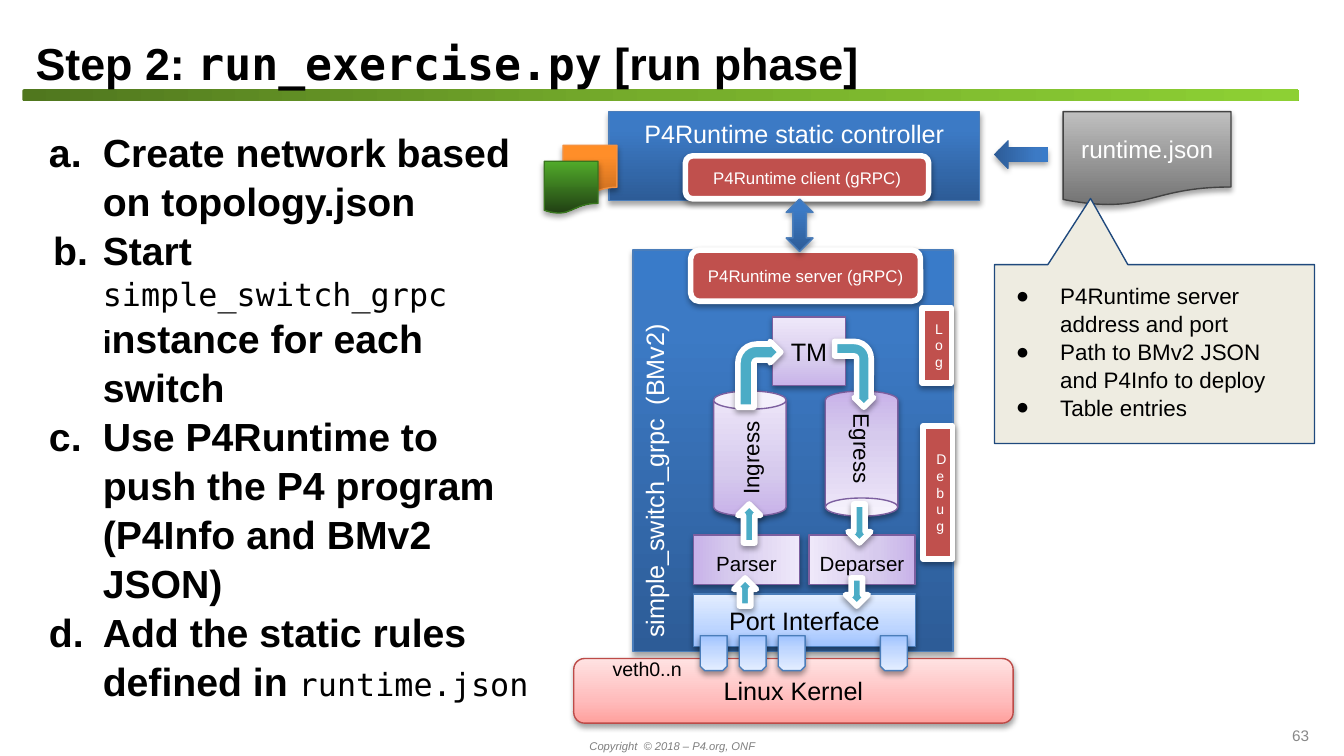
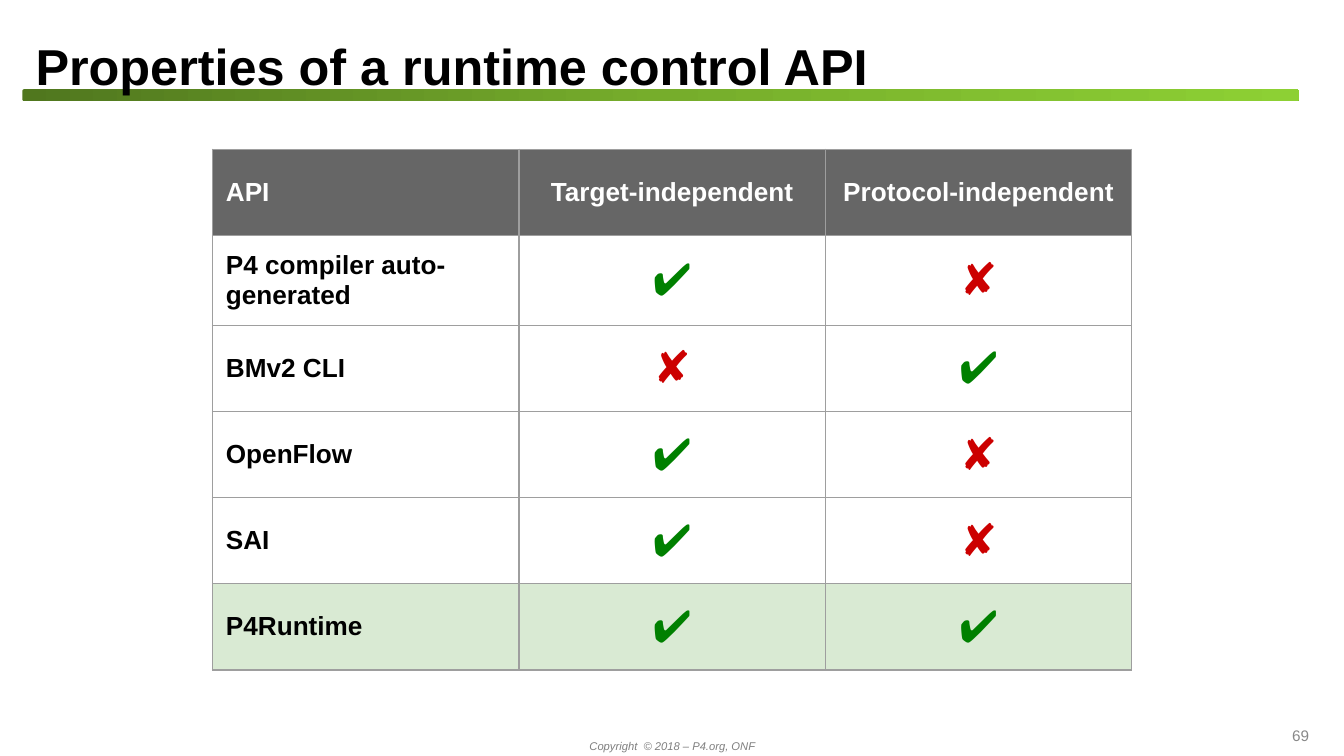
from lxml import etree
from pptx import Presentation
from pptx.dml.color import RGBColor as RGB
from pptx.enum.shapes import MSO_SHAPE as SH
from pptx.enum.text import MSO_ANCHOR as ANCHOR, PP_ALIGN as ALIGN
from pptx.oxml.ns import qn
from pptx.util import Pt


class Theme:
    sans, mono = "Arial", "DejaVu Sans Mono"
    black, white = "000000", "FFFFFF"
    footer, number = "7F7F7F", "888888"
    header, highlight, grid = "666666", "D9EAD3", "9E9E9E"
    yes, no = "008000", "CC0000"
    sz_title, sz_title_big = 24, 27
    sz_body, sz_code = 21, 17
    sz_block, sz_file, sz_stage, sz_small_stage = 13.5, 13, 12, 11
    sz_veth, sz_grpc, sz_side = 10.5, 9, 7.5
    sz_footer, sz_number = 6, 8.2
    sz_cell, sz_mark = 14, 24
    deep, soft = (34, 1.8), (36, 1.6)
    blue_stops = [(0, "2D5C97"), (80, "3C7AC5"), (100, "397BC9")]
    looks = {
        "band": (0, [(0, "50771E"), (50, "76AD2B"), (100, "8DD034")], None, 0, None),
        "blue": (270, blue_stops, "4A7DBA", 0.75, deep),
        "blue_bare": (270, blue_stops, None, 0, deep),
        "purple": (270, [(0, "C8B2E9"), (35, "D6CAED"), (100, "EFE8FA")], "7C5F9F", 0.75, soft),
        "sky": (270, [(0, "9FC3FF"), (35, "BDD5FF"), (100, "E4EEFF")], "4A7DBA", 0.75, soft),
        "pink": (270, [(0, "FFA09D"), (35, "FFBCBC"), (100, "FFE2E2")], "BD4B48", 0.75, soft),
        "grey": (90, [(0, "BFBFBF"), (100, "737373")], "434343", 0.75, deep),
        "orange": (270, [(0, "C86C1F"), (80, "FF8E29"), (100, "FF8D25")], "F5913F", 0.75, deep),
        "green": (90, [(0, "51AB2A"), (100, "203E13")], "38761D", 0.75, deep),
        "red": (0, "C0504D", "FFFFFF", 3, soft),
        "teal": (0, "4BACC6", "FFFFFF", 3, soft),
        "note": (0, "EEECE1", "1F497D", 0.75, None),
    }


T = Theme


def write(tf, paras, size, ink=T.black, align=ALIGN.LEFT, bold=False,
          italic=False, leading=None, bullet=None):
    for i, para in enumerate(paras):
        p = tf.paragraphs[0] if i == 0 else tf.add_paragraph()
        p.alignment = align
        if leading:
            p.line_spacing = leading
        if bullet:
            tag, attrs, indents = bullet
            pPr = p._p.get_or_add_pPr()
            pPr.set("marL", str(Pt(36)))
            pPr.set("indent", str(-Pt(indents[i])))
            clr = etree.SubElement(pPr, qn("a:buClr"))
            etree.SubElement(clr, qn("a:srgbClr"), val=T.black)
            etree.SubElement(pPr, qn("a:buFont"), typeface=T.sans)
            etree.SubElement(pPr, qn(tag), attrs)
        for piece in [(para,)] if isinstance(para, str) else para:
            text, sz, font, weight = piece + (size, T.sans, bold)[len(piece) - 1:]
            r = p.add_run()
            r.text = text
            r.font.size, r.font.name = Pt(sz), font
            r.font.bold, r.font.italic = weight, italic
            r.font.color.rgb = RGB.from_string(ink)


def draw(sl, kind, at, look=None, paras=(), size=T.sz_block, ink=T.black,
         align=ALIGN.CENTER, anchor=ANCHOR.MIDDLE, ins=(7.2, 3.6), rot=0, adj=(), **style):
    box = [Pt(v) for v in at]
    if kind is None:
        s = sl.shapes.add_textbox(*box)
    else:
        s = sl.shapes.add_shape(kind, *box)
        angle, paint, edge, width, shade = T.looks[look]
        if isinstance(paint, str):
            s.fill.solid()
            s.fill.fore_color.rgb = RGB.from_string(paint)
        else:
            s.fill.gradient()
            s.fill.gradient_angle = (360 - angle) % 360
            stops = s._element.spPr.find(".//" + qn("a:gsLst"))
            for old in list(stops):
                stops.remove(old)
            for pos, color in paint:
                gs = etree.SubElement(stops, qn("a:gs"), pos=str(pos * 1000))
                etree.SubElement(gs, qn("a:srgbClr"), val=color)
        if edge:
            s.line.color.rgb = RGB.from_string(edge)
            s.line.width = Pt(width)
        else:
            s.line.fill.background()
        s.shadow.inherit = False
        if shade:
            alpha, dist = shade
            effects = s._element.spPr.find(qn("a:effectLst"))
            shadow = etree.SubElement(effects, qn("a:outerShdw"), blurRad=str(Pt(3.1)),
                                      dist=str(Pt(dist)), dir="5400000", rotWithShape="0")
            clr = etree.SubElement(shadow, qn("a:srgbClr"), val=T.black)
            etree.SubElement(clr, qn("a:alpha"), val=str(alpha * 1000))
    s.rotation = rot
    for i, value in enumerate(adj):
        s.adjustments[i] = value
    if paras:
        tf = s.text_frame
        tf.word_wrap = True
        tf.vertical_anchor = anchor
        tf.margin_left = tf.margin_right = Pt(ins[0])
        tf.margin_top = tf.margin_bottom = Pt(ins[1])
        write(tf, paras, size, ink, align, **style)


prs = Presentation()
prs.slide_width, prs.slide_height = Pt(720), Pt(405)

titles = [
    ([("Step 2: ",), ("run_exercise.py", T.sz_title, T.mono), (" [run phase]",)], T.sz_title, "63"),
    ("Properties of a runtime control API", T.sz_title_big, "69"),
]
slides = []
for title, size, number in titles:
    sl = prs.slides.add_slide(prs.slide_layouts[6])
    slides.append(sl)
    draw(sl, None, (84.2, 392.4, 552, 16.6), paras=["Copyright  © 2018 – P4.org, ONF"],
         size=T.sz_footer, ink=T.footer, anchor=ANCHOR.TOP, italic=True)
    draw(sl, SH.ROUNDED_RECTANGLE, (12, 47.8, 684, 6.4), "band")
    draw(sl, None, (12, 10, 684, 37.6), paras=[title], size=size, align=ALIGN.LEFT,
         anchor=ANCHOR.TOP, ins=(7.2, 9), bold=True)
    draw(sl, None, (624.2, 388, 84.2, 12.2), paras=[number], size=T.sz_number,
         ink=T.number, align=ALIGN.RIGHT)

sl, sl2 = slides

steps = [
    "Create network based on topology.json",
    [("Start",), (" ", T.sz_code), ("simple_switch_grpc", T.sz_code, T.mono, False),
     (" i", T.sz_code), ("nstance for each switch",)],
    "Use P4Runtime to push the P4 program (P4Info and BMv2 JSON)",
    [("Add the static rules defined in ",), ("runtime.json", T.sz_code, T.mono, False)],
]
draw(sl, None, (12, 59.8, 283.7, 324), paras=steps, size=T.sz_body, align=ALIGN.LEFT,
     anchor=ANCHOR.TOP, ins=(7.2, 8), bold=True, leading=1.04,
     bullet=("a:buAutoNum", {"type": "alphaLcPeriod"}, (28.8, 26.6, 28.8, 28.8)))

draw(sl, SH.RECTANGLE, (339.1, 133.9, 171.4, 215.3), "blue")
draw(sl, None, (316.8, 155.5, 215.3, 171.4), paras=["simple_switch_grpc  (BMv2)"],
     ink=T.white, align=ALIGN.LEFT, anchor=ANCHOR.TOP, rot=270)
draw(sl, SH.ROUNDED_RECTANGLE, (370, 134, 123.1, 27.4), "red",
     ["P4Runtime server (gRPC)"], T.sz_grpc, T.white)

for name, x, can_rot, label_y, label_rot in [("Egress", 442.1, 180, 221, 90),
                                             ("Ingress", 382.3, 0, 226, 270)]:
    draw(sl, SH.CAN, (x, 209.5, 38.9, 67), "purple", rot=can_rot)
    draw(sl, None, (x - 6.5, label_y, 52.6, 38.9), paras=[name], size=T.sz_stage,
         ins=(0, 0), rot=label_rot)
draw(sl, SH.RECTANGLE, (414, 169.9, 38.9, 36.7), "purple", ["TM"], ins=(0, 3.6))
for name, x, rot in [("Parser", 371.5, 90), ("Deparser", 433.4, 270)]:
    draw(sl, SH.RECTANGLE, (x + 15.15, 271.4, 26.6, 56.9), "purple", rot=rot)
    draw(sl, None, (x, 288.7, 56.9, 26.6), paras=[name], size=T.sz_small_stage, ins=(0, 0))

for at, rot in [((395.3, 182.9, 23, 35.3), 0), ((439.9, 190.1, 35.3, 20.9), 90)]:
    draw(sl, SH.BENT_ARROW, at, "teal", rot=rot, adj=(0.375, 0.25, 0.25, 0.438))
draw(sl, SH.RECTANGLE, (371.5, 318.2, 118.8, 28.1), "sky", ["Port Interface"])
for x_high, x_low, rot in [(395.3, 393.1, 0), (454.3, 452.9, 180)]:
    draw(sl, SH.UP_ARROW, (x_high, 270, 12.2, 20.9), "teal", rot=rot)
    draw(sl, SH.UP_ARROW, (x_low, 309.6, 12.2, 15.1), "teal", rot=rot)
for name, x, y, h in [("Log", 493.9, 164.9, 40.3), ("Debug", 494.6, 228.2, 71.3)]:
    draw(sl, SH.RECTANGLE, (x, y, 15.8, h), "red", [name], T.sz_side, T.white)

draw(sl, SH.RECTANGLE, (326.2, 59.8, 198.7, 47.5), "blue",
     ["P4Runtime static controller"], ink=T.white, anchor=ANCHOR.TOP)
draw(sl, SH.FLOWCHART_DOCUMENT, (569.5, 59.8, 90, 50.4), "grey",
     ["runtime.json"], T.sz_file, T.white)
draw(sl, SH.ROUNDED_RECTANGLE, (367.2, 83.5, 130.3, 23), "red",
     ["P4Runtime client (gRPC)"], T.sz_grpc, T.white)
draw(sl, SH.UP_DOWN_ARROW, (421.2, 106.6, 14.4, 28.1), "blue")
for look, x, y in [("orange", 301.7, 77.8), ("green", 291.6, 86.4)]:
    draw(sl, SH.FLOWCHART_DOCUMENT, (x, y, 28.8, 28.1), look)

draw(sl, SH.ROUNDED_RECTANGLE, (307.4, 352.8, 235.4, 34.6), "pink", ["Linux Kernel"])
draw(sl, None, (321.1, 348.5, 52.6, 20.2), paras=["veth0..n"], size=T.sz_veth,
     align=ALIGN.LEFT, anchor=ANCHOR.TOP)
for x in (375.1, 396, 416.9, 471.6):
    draw(sl, SH.SNIP_2_SAME_RECTANGLE, (x, 340.6, 14.4, 18.7), "sky", rot=180)

draw(sl, SH.DOWN_ARROW, (539.3, 68.4, 15.1, 28.8), "blue_bare", rot=90)
draw(sl, SH.ROUNDED_RECTANGULAR_CALLOUT, (532.8, 141.8, 171.4, 95.8), "note",
     adj=(-0.2, -0.87, 0))
contents = ["P4Runtime server address and port", "Path to BMv2 JSON and P4Info to deploy",
            "Table entries"]
draw(sl, None, (524.9, 143.3, 171.4, 106.6), paras=contents, size=T.sz_stage,
     align=ALIGN.LEFT, anchor=ANCHOR.TOP, ins=(7.2, 7.2), leading=1.04,
     bullet=("a:buChar", {"char": "●"}, (23.8,) * 3))

rows = [
    ("API", "Target-independent", "Protocol-independent"),
    ("P4 compiler auto-generated", "✔", "✘"),
    ("BMv2 CLI", "✘", "✔"),
    ("OpenFlow", "✔", "✘"),
    ("SAI", "✔", "✘"),
    ("P4Runtime", "✔", "✔"),
]
frame = sl2.shapes.add_table(6, 3, Pt(113.8), Pt(80), Pt(492.6), Pt(277.2))
table = frame.table
table.first_row = table.horz_banding = False
for col in table.columns:
    col.width = Pt(164.2)
for row in table.rows:
    row.height = Pt(46.2)
marks = {"✔": T.yes, "✘": T.no}
fills = {0: T.header, 5: T.highlight}
for i, row in enumerate(rows):
    for j, text in enumerate(row):
        cell = table.cell(i, j)
        cell.vertical_anchor = ANCHOR.MIDDLE
        cell.margin_left = cell.margin_right = Pt(7.2)
        cell.margin_top = cell.margin_bottom = Pt(7.2)
        tcPr = cell._tc.get_or_add_tcPr()
        for side in ("a:lnL", "a:lnR", "a:lnT", "a:lnB"):
            ln = etree.SubElement(tcPr, qn(side), w=str(Pt(0.75)))
            solid = etree.SubElement(ln, qn("a:solidFill"))
            etree.SubElement(solid, qn("a:srgbClr"), val=T.grid)
        if i in fills:
            cell.fill.solid()
            cell.fill.fore_color.rgb = RGB.from_string(fills[i])
        else:
            cell.fill.background()
        mark = text in marks
        ink = marks.get(text, T.white if i == 0 else T.black)
        write(cell.text_frame, [text], T.sz_mark if mark else T.sz_cell, ink,
              ALIGN.CENTER if j else ALIGN.LEFT, bold=not mark)

prs.save("out.pptx")
